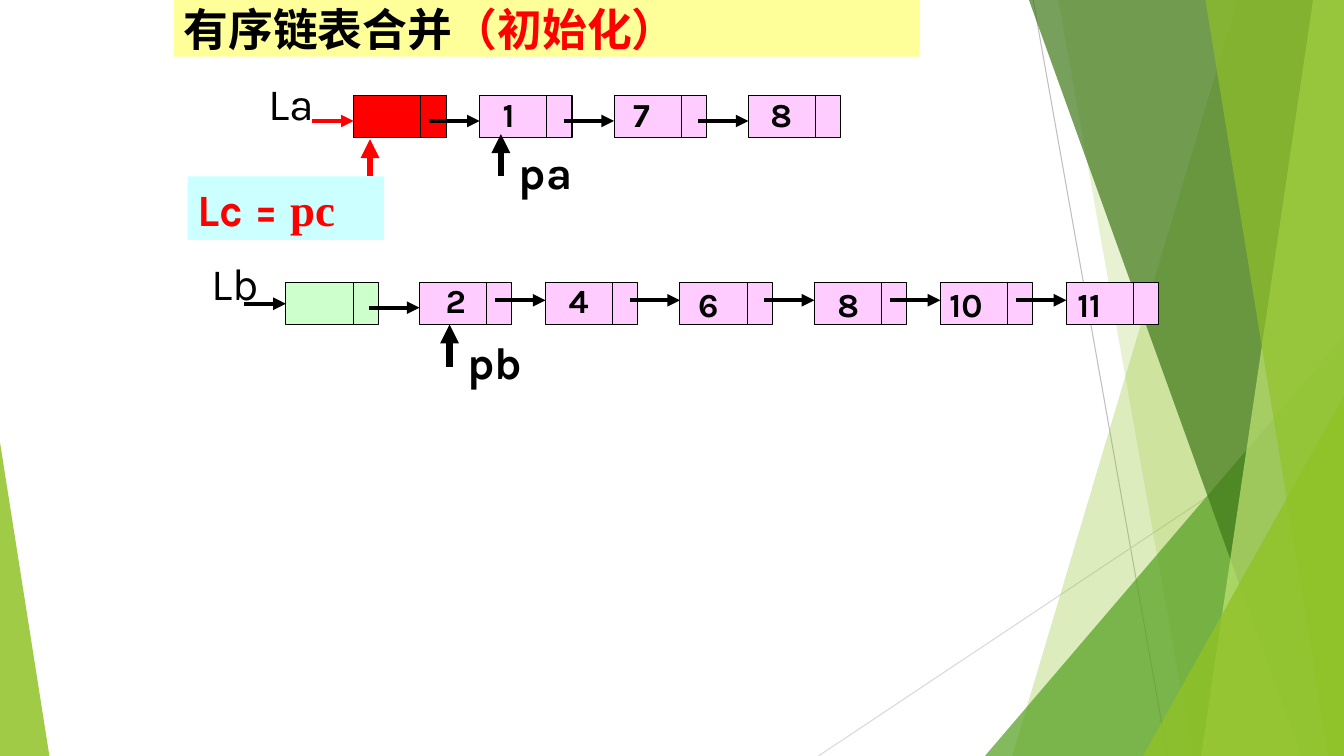
from dataclasses import dataclass
from typing import NamedTuple

from lxml.etree import SubElement
from pptx import Presentation
from pptx.dml.color import RGBColor
from pptx.enum.shapes import MSO_CONNECTOR, MSO_SHAPE
from pptx.enum.text import MSO_ANCHOR, MSO_AUTO_SIZE, PP_ALIGN
from pptx.oxml.ns import qn
from pptx.util import Pt


@dataclass(frozen=True)
class Theme:
    black: str = "000000"
    red: str = "FF0000"
    title_fill: str = "FFFF99"
    merged_fill: str = "CCFFFF"
    node_fill: str = "FFCCFF"
    head_fill: str = "CCFFCC"
    lime: str = "90C226"
    green: str = "54A021"
    forest: str = "3F7819"
    pale: str = "C0E474"
    grey: str = "BFBFBF"
    light_grey: str = "D9D9D9"
    latin: str = "Karla"
    serif: str = "Times New Roman"
    cjk: str = "Noto Sans CJK SC"
    large: int = 32
    small: int = 24
    hairline: float = 0.75
    link: float = 3
    pointer: float = 4.5


THEME = Theme()
DATA_WIDTH, NEXT_WIDTH = 48, 18
LINK_LENGTH, ENTRY_LENGTH = 36, 30


class Box(NamedTuple):
    left: float
    top: float
    width: float
    height: float

    def in_points(self):
        return [Pt(length) for length in self]


class Node(NamedTuple):
    left: float
    fill: str = THEME.node_fill
    value: str = ""
    value_dx: float = 0
    value_dy: float = 0
    link_dy: float = 18


class Head(NamedTuple):
    name: str
    dx: float
    dy: float
    entry_dy: float
    color: str


def paint(shape, color, opacity=100, outline=None):
    shape.shadow.inherit = False
    shape.fill.solid()
    shape.fill.fore_color.rgb = RGBColor.from_string(color)
    if opacity < 100:
        rgb = shape.fill._xPr.find(qn("a:solidFill"))[0]
        SubElement(rgb, qn("a:alpha"), val=str(opacity * 1000))
    if outline:
        shape.line.color.rgb = RGBColor.from_string(outline)
        shape.line.width = Pt(THEME.hairline)
    else:
        shape.line.fill.background()


def add_block(slide, box, color, opacity=100, outline=None, kind=MSO_SHAPE.RECTANGLE):
    block = slide.shapes.add_shape(kind, *box.in_points())
    paint(block, color, opacity, outline)
    return block


def add_line(slide, start, end, color, width, arrow=True):
    line = slide.shapes.add_connector(
        MSO_CONNECTOR.STRAIGHT, *[Pt(length) for length in (*start, *end)]
    )
    line.line.color.rgb = RGBColor.from_string(color)
    line.line.width = Pt(width)
    if arrow:
        SubElement(line.line._get_or_add_ln(), qn("a:tailEnd"), type="triangle")
    SubElement(line._element.spPr, qn("a:effectLst"))
    return line


def add_run(paragraph, text, color, font, size=THEME.large, bold=True):
    run = paragraph.add_run()
    run.text = text
    run.font.name = font
    run.font.size = Pt(size)
    run.font.bold = bold
    run.font.color.rgb = RGBColor.from_string(color)
    SubElement(run.font._element, qn("a:ea"), typeface=THEME.cjk)


def add_label(slide, box, text, size=THEME.large, bold=True):
    frame = slide.shapes.add_textbox(*box.in_points()).text_frame
    frame.word_wrap = False
    frame.auto_size = MSO_AUTO_SIZE.SHAPE_TO_FIT_TEXT
    paragraph = frame.paragraphs[0]
    paragraph.alignment = PP_ALIGN.LEFT
    add_run(paragraph, text, THEME.black, THEME.latin, size, bold)


def draw_backdrop(slide, box):
    left, top, width, height = box
    right, bottom = left + width, top + height

    def band(top_x, bottom_x, color, opacity):
        builder = slide.shapes.build_freeform(Pt(left + top_x), Pt(top))
        corners = [(right, top), (right, bottom), (left + bottom_x, bottom)]
        builder.add_line_segments([(Pt(x), Pt(y)) for x, y in corners])
        paint(builder.convert_to_shape(), color, opacity)

    def wedge(x, wedge_width, wedge_height, apex, color, opacity):
        area = Box(left + x, bottom - wedge_height, wedge_width, wedge_height)
        triangle = add_block(slide, area, color, opacity, kind=MSO_SHAPE.ISOSCELES_TRIANGLE)
        triangle.adjustments[0] = apex

    add_line(slide, (left + 738, top), (left + 834, bottom), THEME.grey, THEME.hairline, False)
    add_line(slide, (right, top + 290), (left + 584.6, bottom), THEME.light_grey, THEME.hairline, False)
    band(884, 723, THEME.lime, 30)
    band(756, 852, THEME.lime, 20)
    wedge(703.5, 256.5, 300, 1, THEME.green, 72)
    band(735, 929.5, THEME.forest, 70)
    band(938, 858, THEME.pale, 70)
    band(861, 949, THEME.lime, 65)
    wedge(816.5, 143.5, 257, 1, THEME.lime, 80)
    wedge(0, 35.3, 224, 0, THEME.lime, 85)


def draw_title(slide, box):
    frame = add_block(slide, box, THEME.title_fill).text_frame
    frame.vertical_anchor = MSO_ANCHOR.MIDDLE
    paragraph = frame.paragraphs[0]
    paragraph.alignment = PP_ALIGN.LEFT
    add_run(paragraph, "有序链表合并", THEME.black, THEME.cjk)
    add_run(paragraph, "（初始化）", THEME.red, THEME.latin)


def draw_list(slide, box, head, nodes):
    left, top, _, height = box
    data_cells = []
    for node in nodes:
        x = left + node.left
        data_cells.append(
            add_block(slide, Box(x, top, DATA_WIDTH, height), node.fill, outline=THEME.black)
        )
        add_block(
            slide, Box(x + DATA_WIDTH, top, NEXT_WIDTH, height), node.fill, outline=THEME.black
        )
    for node in nodes[1:]:
        x, y = left + node.left, top + node.link_dy
        add_line(slide, (x - LINK_LENGTH, y), (x, y), THEME.black, THEME.link)
        value_width = 29.5 if len(node.value) == 1 else 44.6
        value_box = Box(x + node.value_dx, top + node.value_dy, value_width, 36)
        add_label(slide, value_box, node.value, THEME.small)
    y = top + head.entry_dy
    entry = add_line(slide, (left - ENTRY_LENGTH, y), (left, y), head.color, THEME.link)
    if head.entry_dy == height / 2:
        entry.end_connect(data_cells[0], 1)
    add_label(slide, Box(left + head.dx, top + head.dy, 52, 45.4), head.name, bold=False)


def draw_pointer(slide, box, name):
    left, top, width, height = box
    add_line(slide, (left, top + height), (left, top), THEME.black, THEME.pointer)
    add_label(slide, Box(left + 5.8, top + 4, width - 5.8, 45.4), name)


def draw_merged_head(slide, box):
    frame = add_block(slide, box, THEME.merged_fill).text_frame
    frame.word_wrap = True
    frame.auto_size = MSO_AUTO_SIZE.SHAPE_TO_FIT_TEXT
    frame.vertical_anchor = MSO_ANCHOR.TOP
    paragraph = frame.paragraphs[0]
    paragraph.alignment = PP_ALIGN.LEFT
    add_run(paragraph, "Lc = ", THEME.red, THEME.latin)
    add_run(paragraph, "pc", THEME.red, THEME.serif)
    x = box.left + 130.3
    add_line(slide, (x, box.top), (x, box.top - 26.6), THEME.red, THEME.pointer)


def main():
    presentation = Presentation()
    presentation.slide_width, presentation.slide_height = Pt(960), Pt(540)
    slide = presentation.slides.add_slide(presentation.slide_layouts[6])
    pink = THEME.node_fill
    la_nodes = [
        Node(0, THEME.red),
        Node(90, pink, "1", 9.4, -5),
        Node(186, pink, "7", 6.5, -5),
        Node(282, pink, "8", 8.6, -5),
    ]
    lb_nodes = [
        Node(0, THEME.head_fill),
        Node(95.5, pink, "2", 11.5, -5.5, 17.8),
        Node(185.5, pink, "4", 9.4, -5.5, 12.5),
        Node(281.5, pink, "6", 5.8, -2.6, 12.5),
        Node(377.5, pink, "8", 9.4, -2.6, 12.5),
        Node(467.5, pink, "10", -0.7, -2.6, 12.5),
        Node(557.5, pink, "11", 0.7, -2.6, 12.5),
    ]
    draw_backdrop(slide, Box(0, 0, 960, 540))
    draw_title(slide, Box(124, 0, 533, 40.4))
    draw_list(slide, Box(252.6, 68.4, 348, 30), Head("La", -67.6, -18, 18, THEME.red), la_nodes)
    draw_pointer(slide, Box(357.8, 95.8, 62, 30.2), "pa")
    draw_list(slide, Box(204.2, 202, 623.5, 30), Head("Lb", -60.2, -22.6, 15, THEME.black), lb_nodes)
    draw_pointer(slide, Box(321.1, 231.8, 62, 30.2), "pb")
    draw_merged_head(slide, Box(134, 126, 140.4, 45.4))
    presentation.save("out.pptx")


if __name__ == "__main__":
    main()
